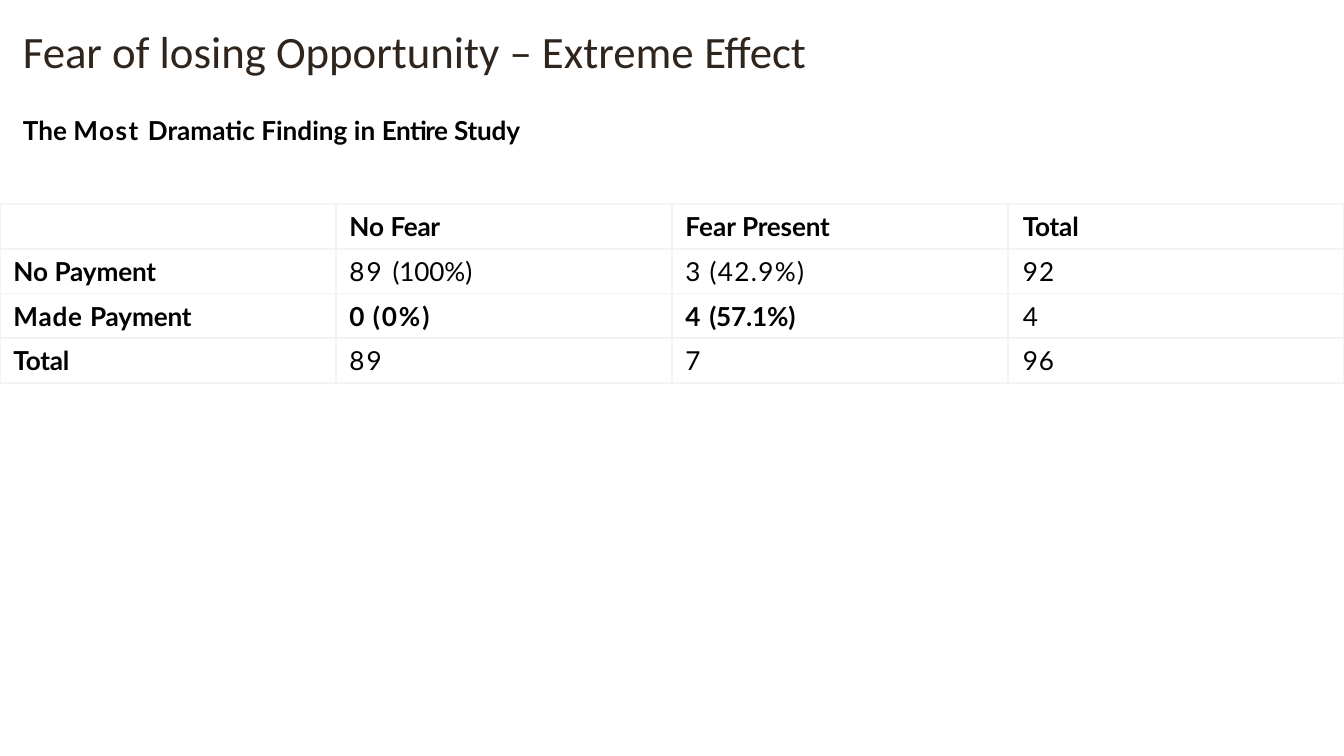
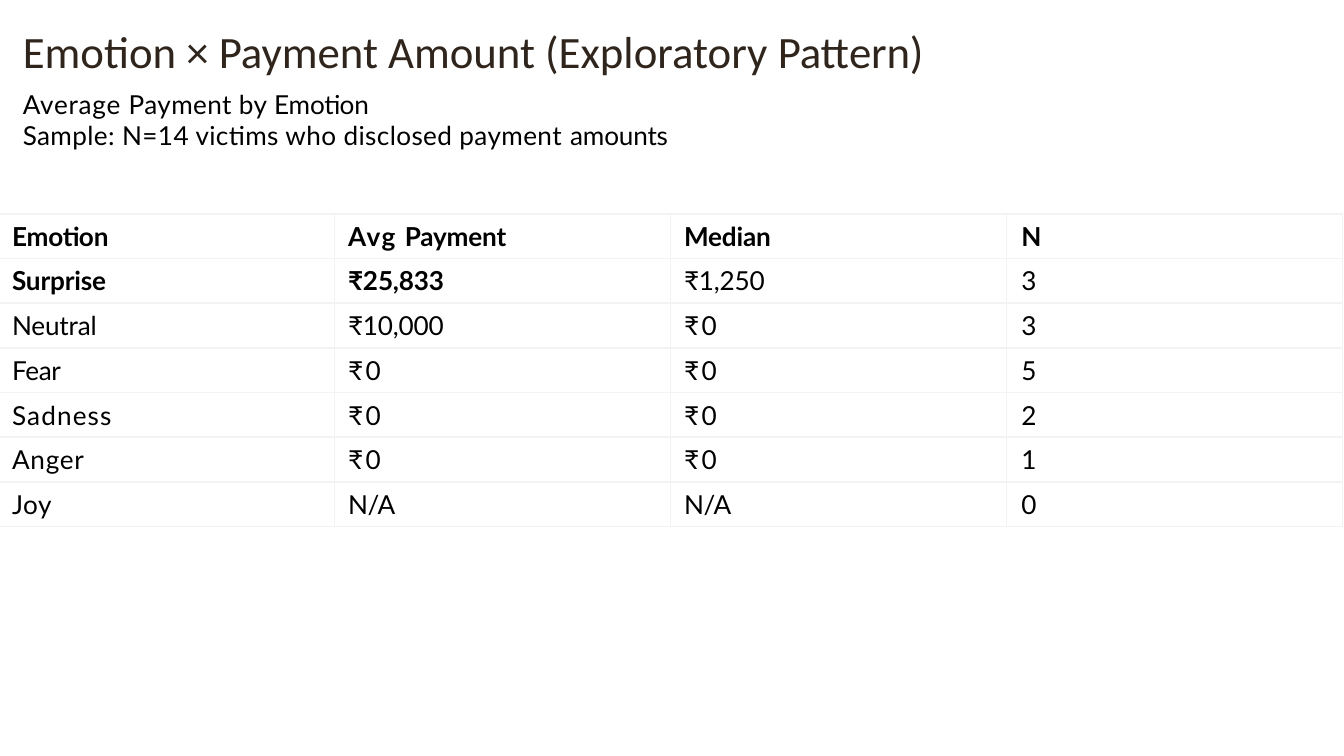
from lxml import etree
from pptx import Presentation
from pptx import util as u
from pptx.dml.color import RGBColor
from pptx.enum import text
from pptx.oxml import ns

TITLE = {"name": "Calibri", "size": u.Pt(24), "bold": False}
BODY = {"name": "Lato", "size": u.Pt(14), "bold": False}
BOLD = {**BODY, "bold": True}
TITLE_COLOR, TEXT_COLOR, GRID_COLOR = "2F251C", "000000", "F3F3F3"
FRAME = {
    "margin_left": u.Inches(0.01), "margin_right": 0, "margin_bottom": 0,
    "word_wrap": True, "vertical_anchor": text.MSO_ANCHOR.TOP,
    "auto_size": text.MSO_AUTO_SIZE.SHAPE_TO_FIT_TEXT,
}
INDENTS = [0.1, 0.1, 0.1, 0.11]
ZERO = [("₹0", 1.3)]
MISSING = [("N/A", -0.2)]

PAGES = [
    {
        "title": [("Fear of losing Opportunity – Extreme ", 0), ("Effect", -0.1)],
        "lead_at": (0.16, 0.83, 3.88, 0.27),
        "lead_style": BOLD,
        "lead": [[("The ", 0), ("Most ", 0.8), ("Dramatic Finding in ", 0),
                  ("Entire ", -0.3), ("Study", -0.1)]],
        "table_top": 1.52, "table_height": 1.33,
        "first_width": 2.5, "first_indent": 0.1, "left_edge": True,
        "bold_cells": {(1, 0), (2, 0), (3, 0), (2, 1), (2, 2)},
        "rows": [
            [[], [("No ", 0), ("Fear", -0.2)], [("Fear ", 0), ("Present", -0.1)],
             [("Total", -0.1)]],
            [[("No ", 0), ("Payment", -0.1)], [("89 ", 1.1), ("(100%)", -0.1)],
             [("3 ", 0.6), ("(42.9%)", 0.7)], [("92", 0.6)]],
            [[("Made ", 0.4), ("Payment", -0.1)], [("0 ", 0.5), ("(0%)", 1)],
             [("4 ", 0.6), ("(57.1%)", -0.1)], [("4", 1.4)]],
            [[("Total", -0.1)], [("89", 1.1)], [("7", 0)], [("96", 0.5)]],
        ],
    },
    {
        "title": [("Emotion × Payment Amount (Exploratory ", 0), ("Pattern)", -0.1)],
        "lead_at": (0.16, 0.64, 4.93, 0.5),
        "lead_style": BODY,
        "line_spacing": u.Pt(16.6),
        "lead": [[("Average ", 0.4), ("Payment by ", 0.2), ("Emotion", -0.1)],
                 [("Sample: N=14 victims who disclosed payment ", 0.2),
                  ("amounts", -0.1)]],
        "table_top": 1.59, "table_height": 2.33,
        "first_width": 2.49, "first_indent": 0.09, "left_edge": False,
        "bold_cells": {(1, 0), (1, 1)},
        "rows": [
            [[("Emotion", -0.1)], [("Avg ", 0.8), ("Payment", -0.1)],
             [("Median", -0.1)], [("N", 0.2)]],
            [[("Surprise", -0.1)], [("₹25,833", -0.1)], [("₹1,250", -0.1)], [("3", 0.6)]],
            [[("Neutral", -0.1)], [("₹10,000", -0.1)], ZERO, [("3", 0.6)]],
            [[("Fear", -0.2)], ZERO, ZERO, [("5", 0.9)]],
            [[("Sadness", 0.6)], ZERO, ZERO, [("2", 0.7)]],
            [[("Anger", 0.4)], ZERO, ZERO, [("1", -3.5)]],
            [[("Joy", 0.3)], MISSING, MISSING, [("0", 1)]],
        ],
    },
]


def rgb(value):
    return RGBColor.from_string(value)


def write_spans(para, spans, style, color):
    para.alignment = text.PP_ALIGN.LEFT
    for words, spacing in spans:
        span = para.add_run()
        span.text = words
        for name, value in style.items():
            setattr(span.font, name, value)
        span.font.color.rgb = rgb(color)
        if spacing:
            span.font._element.set("spc", str(round(spacing * 100)))


deck = Presentation()
deck.slide_width, deck.slide_height = u.Inches(10), u.Inches(10 * 9 / 16)

for content in PAGES:
    page = deck.slides.add_slide(deck.slide_layouts[5])
    page.background.fill.solid()
    page.background.fill.fore_color.rgb = rgb("FFFFFF")

    title = page.shapes.title
    title.left, title.top, title.width, title.height = map(
        u.Inches, (0.15, 0.16, 6.78, 0.43))
    lead = page.shapes.add_textbox(*map(u.Inches, content["lead_at"]))
    for box in (title, lead):
        for name, value in FRAME.items():
            setattr(box.text_frame, name, value)
        box.text_frame.margin_top = u.Inches(0.02)
    title.text_frame.margin_left = u.Inches(0.02)
    write_spans(title.text_frame.paragraphs[0], content["title"], TITLE, TITLE_COLOR)

    for index, spans in enumerate(content["lead"]):
        frame = lead.text_frame
        para = frame.add_paragraph() if index else frame.paragraphs[0]
        para.line_spacing = content.get("line_spacing")
        write_spans(para, spans, content["lead_style"], TEXT_COLOR)

    rows = content["rows"]
    table = page.shapes.add_table(
        len(rows), 4, 0, u.Inches(content["table_top"]),
        u.Inches(10), u.Inches(content["table_height"])).table
    table.first_row = table.horz_banding = False
    table.columns[0].width = u.Inches(content["first_width"])
    indents = [content["first_indent"]] + INDENTS[1:]
    for r, row in enumerate(rows):
        for c, spans in enumerate(row):
            cell = table.cell(r, c)
            cell.margin_left = u.Inches(indents[c])
            cell.margin_right = cell.margin_bottom = 0
            cell.margin_top = u.Inches(0.05) if spans else 0
            bold = r == 0 or (r, c) in content["bold_cells"]
            write_spans(cell.text_frame.paragraphs[0], spans,
                        BOLD if bold else BODY, TEXT_COLOR)
            properties = cell._tc.get_or_add_tcPr()
            for side in ("L", "R", "T", "B"):
                line = etree.SubElement(properties, ns.qn("a:ln" + side), w=str(u.Pt(1)))
                if side == "L" and c == 0 and not content["left_edge"]:
                    etree.SubElement(line, ns.qn("a:noFill"))
                else:
                    fill = etree.SubElement(line, ns.qn("a:solidFill"))
                    etree.SubElement(fill, ns.qn("a:srgbClr"), val=GRID_COLOR)
            cell.fill.background()

deck.save("out.pptx")
